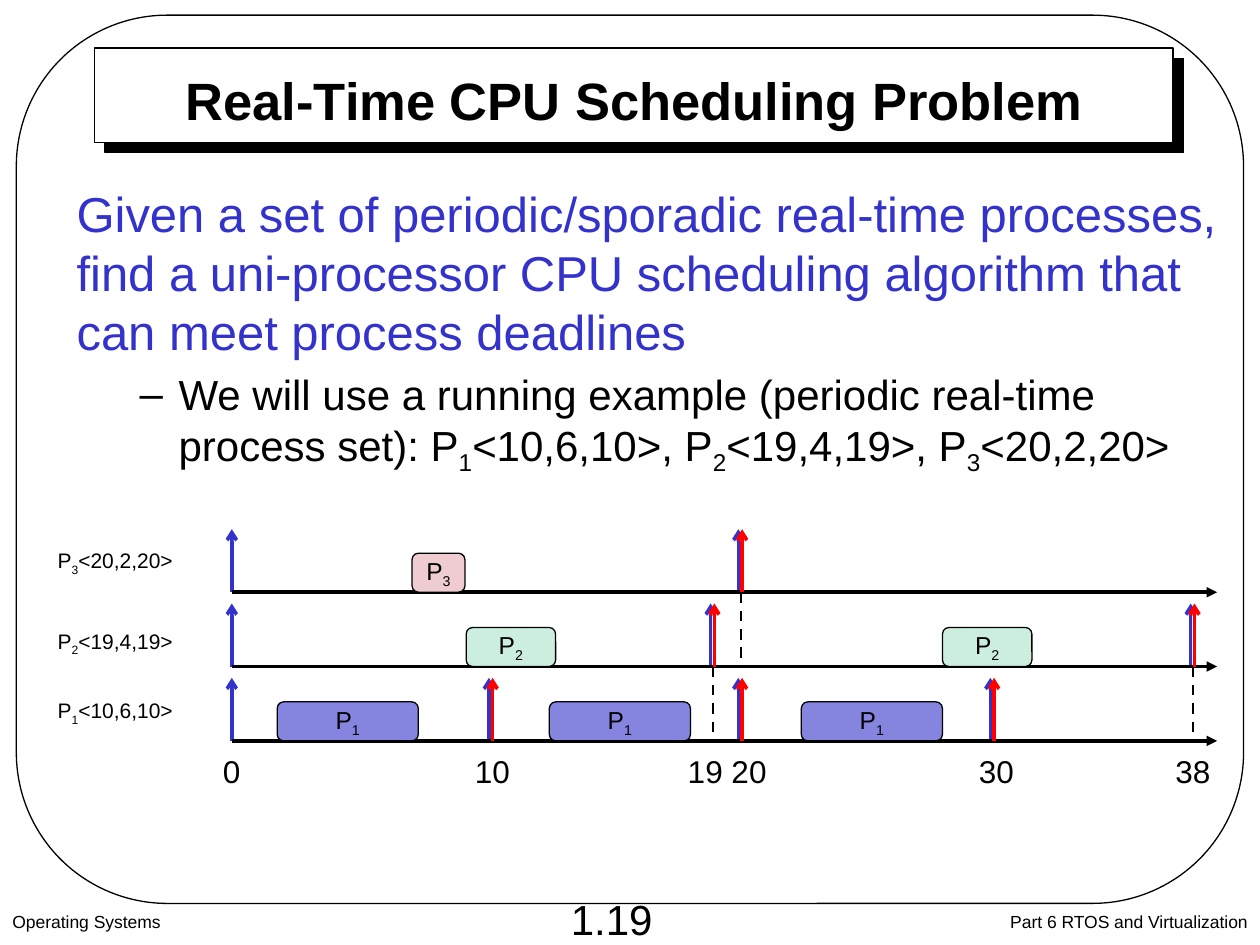
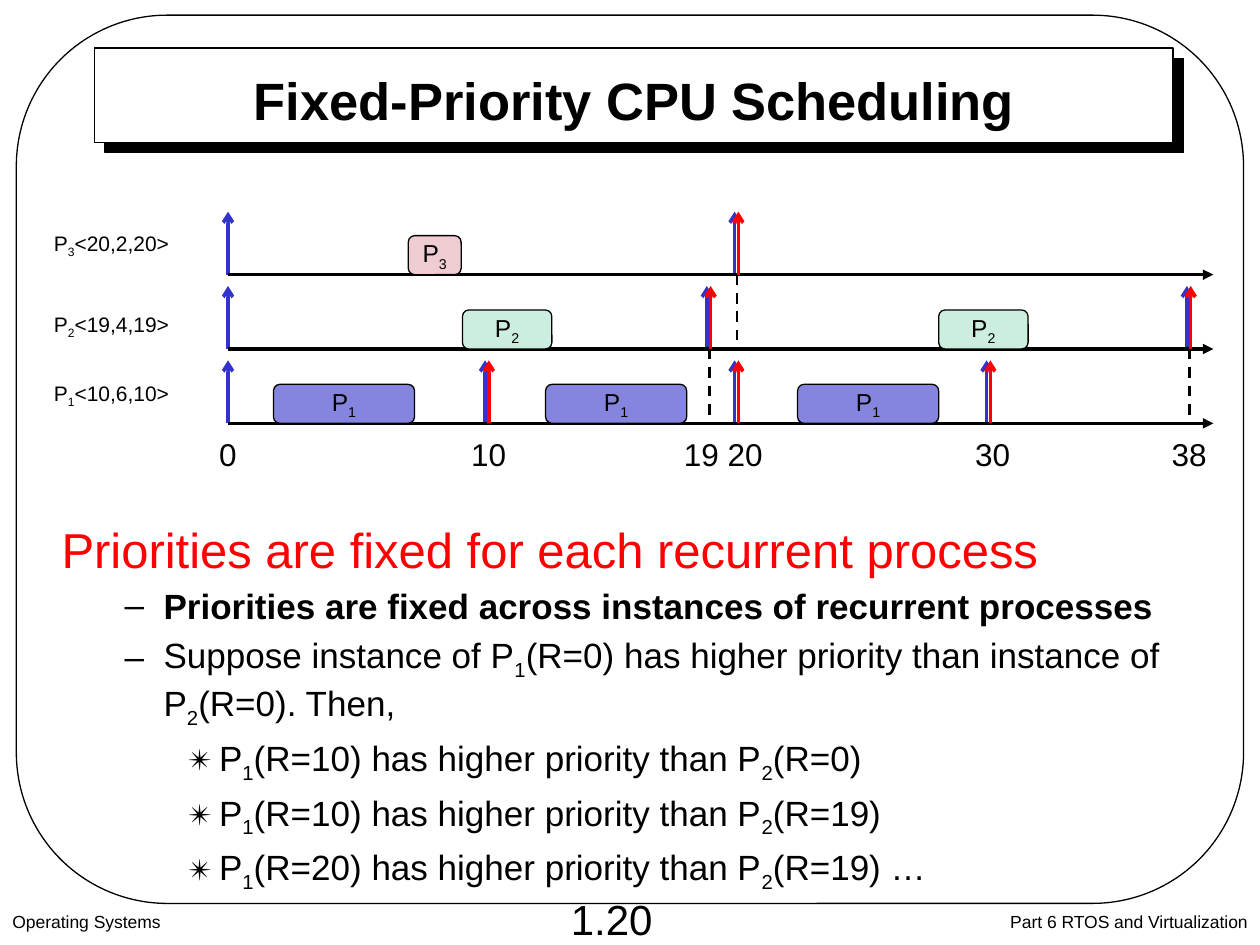
import dataclasses

import lxml.etree
import pptx
import pptx.dml.color
import pptx.enum.dml
import pptx.enum.shapes
import pptx.enum.text
import pptx.oxml.ns
import pptx.util

Inches = pptx.util.Inches
Pt = pptx.util.Pt
Align = pptx.enum.text.PP_ALIGN
Anchor = pptx.enum.text.MSO_ANCHOR
ShapeKind = pptx.enum.shapes.MSO_SHAPE
qn = pptx.oxml.ns.qn


@dataclasses.dataclass(frozen=True)
class Theme:
    font: str = "Arial"
    black: str = "000000"
    white: str = "FFFFFF"
    blue: str = "3333CC"
    red: str = "FF0000"
    title_size: int = 30
    statement_size: int = 28
    page_size: int = 24
    axis_size: int = 18
    job_size: int = 14
    label_size: int = 12
    footer_size: int = 10
    outline: float = 0.75
    guide: float = 1.5
    stroke: float = 2


@dataclasses.dataclass(frozen=True)
class Process:
    name: str
    timing: str
    label_top: float
    releases: tuple
    job_lefts: tuple
    job_width: float
    color: str
    has_guides: bool = True


@dataclasses.dataclass(frozen=True)
class Bullet:
    character: str
    level: int
    margin: float
    indent: float
    percent: int = 100


THEME = Theme()
DASH = Bullet("–", 1, 0.81, -0.31)
STAR = Bullet("✴", 2, 1.25, -0.25, 85)

PROCESSES = (
    Process("P_3", "<20,2,20>", 4.3, (0, 20), (3.27,), 0.42, "EECCD2"),
    Process("P_2", "<19,4,19>", 4.94, (0, 19, 38), (3.7, 7.48), 0.71, "CCEEDF"),
    Process("P_1", "<10,6,10>", 5.49, (0, 10, 20, 30), (2.2, 4.36, 6.36), 1.12,
            "8585E0", has_guides=False),
)
TIME_LEFT = {0: 1.84, 10: 3.88, 19: 5.64, 20: 5.86, 30: 7.86, 38: 9.45}
AXIS_END = 9.66
FIRST_AXIS_TOP = 4.7
AXIS_PITCH = 0.59
ARROW_HEIGHT = 0.5
JOB_HEIGHT = 0.31
GUIDE_HEIGHT = 0.6
DEADLINE_SHIFT = 0.03
GUIDE_SHIFT = 0.02
AXIS_TABS = (2, 3.69, 6, 7.56)


def rgb(color):
    return pptx.dml.color.RGBColor.from_string(color)


def add_element(parent, tag, **attributes):
    return lxml.etree.SubElement(parent, qn(tag), attributes)


def add_runs(paragraph, text, size, color=THEME.black, bold=False):
    """Write text; the character after each underscore becomes a subscript."""
    first, *others = text.split("_")
    pieces = [(first, False)]
    for other in others:
        pieces += [(other[:1], True), (other[1:], False)]
    for piece, is_subscript in pieces:
        if not piece:
            continue
        run = paragraph.add_run()
        run.text = piece
        run.font.name = THEME.font
        run.font.size = Pt(size)
        run.font.bold = bold
        run.font.color.rgb = rgb(color)
        if is_subscript:
            run.font._element.set("baseline", "-25000")


def add_text(shapes, left, top, width, height, text, size, color=THEME.black,
             align=Align.LEFT, anchor=Anchor.TOP, wrap=True):
    box = shapes.add_textbox(Inches(left), Inches(top), Inches(width), Inches(height))
    frame = box.text_frame
    frame.word_wrap = wrap
    frame.vertical_anchor = anchor
    paragraph = frame.paragraphs[0]
    paragraph.alignment = align
    add_runs(paragraph, text, size, color)
    return frame


def add_outlined_shape(shapes, kind, left, top, width, height, fill=None):
    shape = shapes.add_shape(kind, Inches(left), Inches(top), Inches(width), Inches(height))
    shape.shadow.inherit = False
    if fill:
        shape.fill.solid()
        shape.fill.fore_color.rgb = rgb(fill)
    else:
        shape.fill.background()
    shape.line.color.rgb = rgb(THEME.black)
    shape.line.width = Pt(THEME.outline)
    return shape


def add_line(shapes, start, end, color=THEME.black, width=THEME.stroke, arrow=None):
    """Draw a line between two points; arrow names the arrowhead at its end."""
    line = shapes.add_connector(pptx.enum.shapes.MSO_CONNECTOR.STRAIGHT,
                                *(Inches(value) for value in (*start, *end)))
    line.line.color.rgb = rgb(color)
    line.line.width = Pt(width)
    properties = line._element.spPr
    if arrow:
        add_element(properties.find(qn("a:ln")), "a:tailEnd", type=arrow)
    add_element(properties, "a:effectLst")
    return line


def add_job(shapes, process, left, top):
    job = add_outlined_shape(shapes, ShapeKind.ROUNDED_RECTANGLE, left, top,
                             process.job_width, JOB_HEIGHT, process.color)
    job.text_frame.word_wrap = False
    job.text_frame.vertical_anchor = Anchor.MIDDLE
    paragraph = job.text_frame.paragraphs[0]
    paragraph.alignment = Align.CENTER
    add_runs(paragraph, process.name, THEME.job_size)


def add_process_row(shapes, process, axis_top, shift_left, shift_top):
    def add_event(time, color, shift=0):
        left = TIME_LEFT[time] + shift_left + shift
        add_line(shapes, (left, axis_top), (left, axis_top - ARROW_HEIGHT),
                 color, arrow="arrow")

    add_text(shapes, 0.35 + shift_left, process.label_top + shift_top, 1.13, 0.3,
             process.name + process.timing, THEME.label_size,
             align=Align.CENTER, wrap=False)
    for release in process.releases:
        add_event(release, THEME.blue)
    add_line(shapes, (TIME_LEFT[0] + shift_left, axis_top),
             (AXIS_END + shift_left, axis_top), arrow="triangle")
    for deadline in process.releases[1:]:
        add_event(deadline, THEME.red, DEADLINE_SHIFT)
    for left in process.job_lefts:
        add_job(shapes, process, left + shift_left, axis_top - JOB_HEIGHT)
    if process.has_guides:
        for deadline in process.releases[1:]:
            left = TIME_LEFT[deadline] + shift_left + GUIDE_SHIFT
            guide = add_line(shapes, (left, axis_top), (left, axis_top + GUIDE_HEIGHT),
                             width=THEME.guide)
            guide.line.dash_style = pptx.enum.dml.MSO_LINE.DASH


def add_timeline(shapes, shift_left=0, shift_top=0):
    for row, process in enumerate(PROCESSES):
        axis_top = FIRST_AXIS_TOP + row * AXIS_PITCH + shift_top
        add_process_row(shapes, process, axis_top, shift_left, shift_top)
    frame = add_text(shapes, 1.67 + shift_left, 5.92 + shift_top, 8.13, 0.4,
                     "0\t10\t19 20\t30\t38", THEME.axis_size)
    tabs = add_element(frame.paragraphs[0]._p.get_or_add_pPr(), "a:tabLst")
    for position in AXIS_TABS:
        add_element(tabs, "a:tab", pos=str(Inches(position)), algn="l")


def set_bullet(paragraph, bullet):
    paragraph.level = bullet.level
    properties = paragraph._p.get_or_add_pPr()
    properties.set("marL", str(Inches(bullet.margin)))
    properties.set("indent", str(Inches(bullet.indent)))
    add_element(properties, "a:buSzPct", val=str(bullet.percent * 1000))
    add_element(properties, "a:buFont", typeface=THEME.font)
    add_element(properties, "a:buChar", char=bullet.character)


def add_body(slide, left, top, statement, color, items, item_size):
    """Add a statement and its items, each a (bullet, text, bold) triple."""
    frame = add_text(slide.shapes, left, top, 9.3, 2.58, statement,
                     THEME.statement_size, color)
    for bullet, text, bold in items:
        paragraph = frame.add_paragraph()
        set_bullet(paragraph, bullet)
        paragraph.space_before = Pt(0.2 * item_size)
        add_runs(paragraph, text, item_size, bold=bold)


def add_title_band(shapes):
    band = add_outlined_shape(shapes, ShapeKind.RECTANGLE, 0.75, 0.38, 8.56, 0.75,
                              THEME.white)
    effects = band._element.spPr.find(qn("a:effectLst"))
    shadow = add_element(effects, "a:outerShdw", dist=str(Pt(8.5)), dir="2700000",
                         algn="ctr", rotWithShape="0")
    add_element(shadow, "a:srgbClr", val=THEME.black)


def format_title(slide, text):
    title = slide.shapes.title
    title.left, title.top = Inches(1.27), Inches(0.54)
    title.width, title.height = Inches(7.53), Inches(0.5)
    title.text_frame.auto_size = pptx.enum.text.MSO_AUTO_SIZE.NONE
    title.text_frame.vertical_anchor = Anchor.MIDDLE
    paragraph = title.text_frame.paragraphs[0]
    paragraph.alignment = Align.CENTER
    add_runs(paragraph, text, THEME.title_size, bold=True)
    slide.shapes._spTree.append(title._element)


def add_lecture_slide(presentation, title, page):
    """Add a slide with the title band, rounded frame and footers."""
    slide = presentation.slides.add_slide(presentation.slide_layouts.get_by_name("Title Only"))
    shapes = slide.shapes
    add_title_band(shapes)
    frame = add_outlined_shape(shapes, ShapeKind.ROUNDED_RECTANGLE, 0.13, 0.12, 9.74, 7.05)
    frame.adjustments[0] = 0.17
    add_text(shapes, 0, 7.18, 4, 0.32, "Operating Systems", THEME.footer_size)
    add_text(shapes, 6.83, 7.18, 3.17, 0.32, "Part 6 RTOS and Virtualization",
             THEME.footer_size, align=Align.RIGHT)
    add_text(shapes, 4.41, 7.04, 0.89, 0.5, page, THEME.page_size,
             align=Align.CENTER, anchor=Anchor.MIDDLE, wrap=False)
    format_title(slide, title)
    return slide


def main():
    presentation = pptx.Presentation()
    presentation.slide_width = Inches(10)
    presentation.slide_height = Inches(7.5)

    problem = add_lecture_slide(presentation, "Real-Time CPU Scheduling Problem", "1.19")
    add_body(problem, 0.51, 1.41,
             "Given a set of periodic/sporadic real-time processes, find a uni-processor "
             "CPU scheduling algorithm that can meet process deadlines", THEME.blue,
             [(DASH, "We will use a running example (periodic real-time process set): "
               "P_1<10,6,10>, P_2<19,4,19>, P_3<20,2,20>", False)], 24)
    add_timeline(problem.shapes)

    fixed = add_lecture_slide(presentation, "Fixed-Priority CPU Scheduling", "1.20")
    comparisons = (("10", "0)"), ("10", "19)"), ("20", "19) …"))
    add_body(fixed, 0.39, 4.07, "Priorities are fixed for each recurrent process", THEME.red,
             [(DASH, "Priorities are fixed across instances of recurrent processes", True),
              (DASH, "Suppose instance of P_1(R=0) has higher priority than instance of "
               "P_2(R=0). Then,", False),
              *((STAR, f"P_1(R={higher}) has higher priority than P_2(R={lower}", False)
                for higher, lower in comparisons)], 20)
    add_timeline(fixed.shapes.add_group_shape().shapes, -0.03, -2.52)

    presentation.save("out.pptx")


if __name__ == "__main__":
    main()
